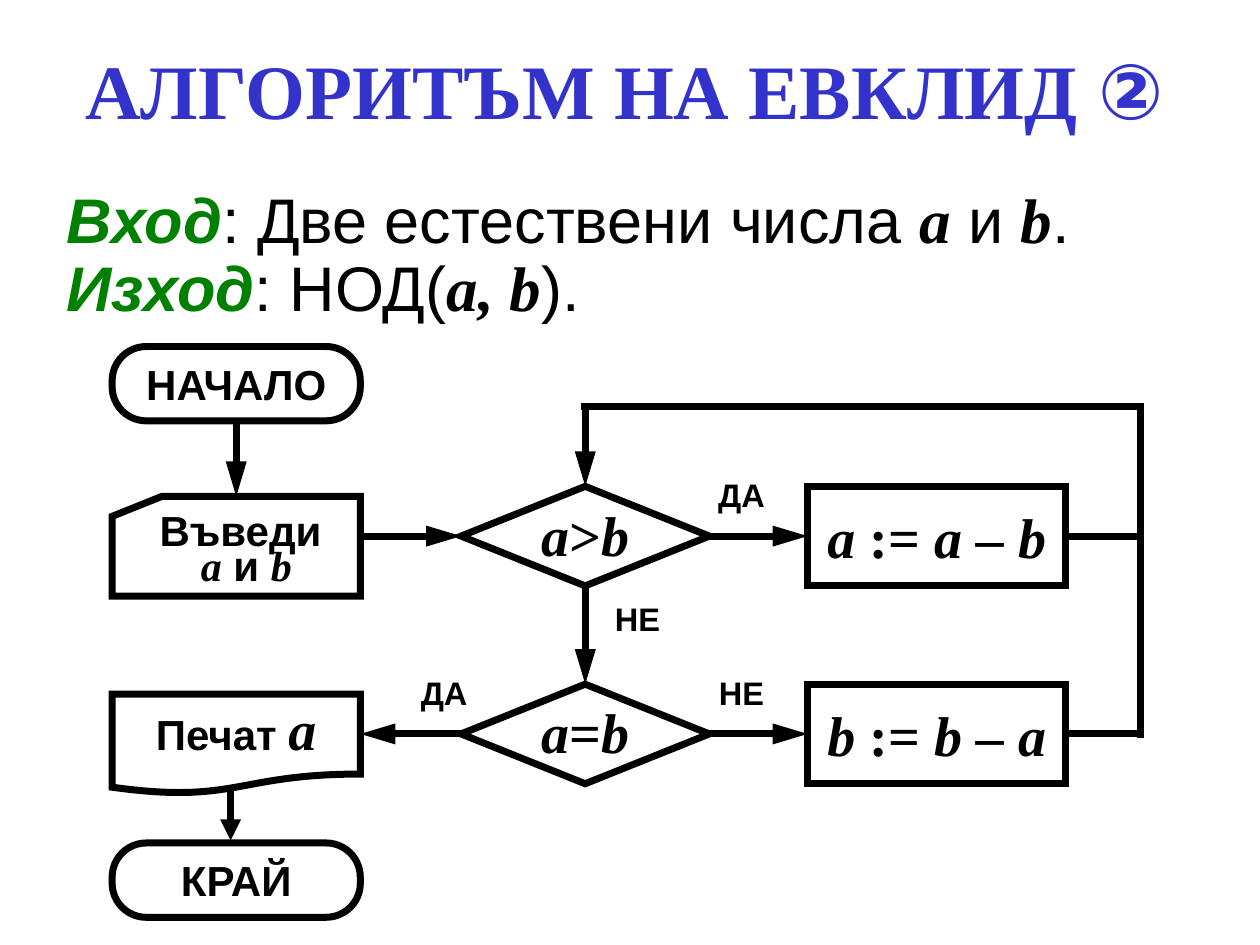
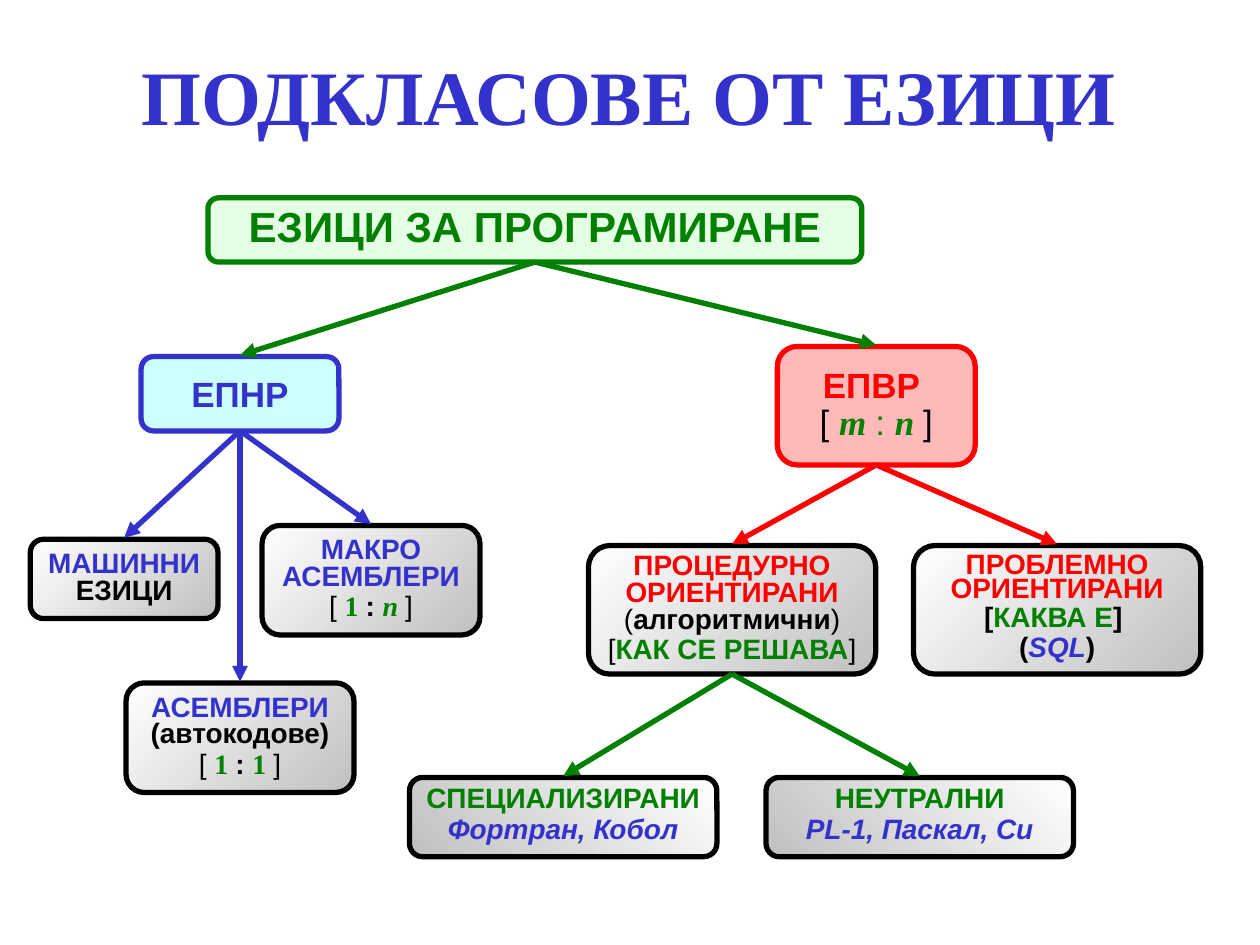
import dataclasses

import pptx
import pptx.dml.color
import pptx.enum.shapes
import pptx.enum.text
import pptx.oxml
import pptx.oxml.ns
import pptx.util

Inches = pptx.util.Inches
Pt = pptx.util.Pt
Shape = pptx.enum.shapes.MSO_SHAPE
Anchor = pptx.enum.text.MSO_ANCHOR
Align = pptx.enum.text.PP_ALIGN

COLOURS = {
    "black": "000000", "white": "FFFFFF", "grey": "C0C0C0",
    "blue": "3333CC", "green": "008000", "red": "FF0000",
    "pale cyan": "CCFFFF", "pale green": "CCFFCC", "pale red": "FFB9B9",
}
# Counter-clockwise gradient angle and the two end colours
GRADIENTS = {
    "falling": (315, "white", "grey"),
    "rising": (45, "grey", "white"),
}


@dataclasses.dataclass
class Span:
    text: str
    size: float
    colour: str
    font: str
    bold: bool
    italic: bool


@dataclasses.dataclass
class Para:
    spans: list
    spacing: float = 1
    before: float = 0


@dataclasses.dataclass
class Node:
    """One box of the tree; its place is relative to the tree."""
    at: tuple
    paras: list
    line: str = "black"
    fill: str = "falling"
    margin: float = 0.1
    wrap: bool = True
    anchor: Anchor = Anchor.MIDDLE


def sans(text, colour="black", size=16, bold=True, italic=False):
    return Span(text, size, colour, "Arial", bold, italic)


def serif(text, colour="black", size=16, italic=True):
    return Span(text, size, colour, "Times New Roman", True, italic)


def rgb(name):
    return pptx.dml.color.RGBColor.from_string(COLOURS[name])


def child(parent, tag, **attributes):
    element = pptx.oxml.parse_xml(f"<a:{tag} {pptx.oxml.ns.nsdecls('a')}/>")
    for name, value in attributes.items():
        element.set(name, value)
    parent.append(element)


def write(box, paras, align=Align.CENTER, anchor=Anchor.MIDDLE, wrap=True,
          margins=(0.1, 0.05, 0.1, 0.05)):
    frame = box.text_frame
    frame.word_wrap = wrap
    frame.vertical_anchor = anchor
    (frame.margin_left, frame.margin_top,
     frame.margin_right, frame.margin_bottom) = map(Inches, margins)
    for index, content in enumerate(paras):
        para = frame.add_paragraph() if index else frame.paragraphs[0]
        para.alignment = align
        para.line_spacing = content.spacing
        para.space_before = Pt(content.before)
        for span in content.spans:
            for number, text in enumerate(span.text.split("\n")):
                if number:
                    para.add_line_break()
                if text:
                    add_run(para, text, span)


def add_run(para, text, span):
    run = para.add_run()
    run.text = text
    run.font.size = Pt(span.size)
    run.font.name = span.font
    run.font.bold = span.bold
    run.font.italic = span.italic
    run.font.color.rgb = rgb(span.colour)


def add_text(page, at, paras, **options):
    box = page.shapes.add_textbox(*map(Inches, at))
    write(box, paras, **options)


def add_outlined(page, kind, at, colour, weight, rounding=None):
    shape = page.shapes.add_shape(kind, *map(Inches, at))
    shape.shadow.inherit = False
    shape.fill.background()
    shape.line.color.rgb = rgb(colour)
    shape.line.width = Pt(weight)
    child(shape.line._get_or_add_ln(), "miter", lim="800000")
    if rounding is not None:
        shape.adjustments[0] = rounding
    return shape


def add_line(page, start, end, colour, weight, head=None):
    """Draw a line; head is the length of its arrowhead, or None."""
    line = page.shapes.add_connector(
        pptx.enum.shapes.MSO_CONNECTOR.STRAIGHT, *map(Inches, start + end))
    line.line.color.rgb = rgb(colour)
    line.line.width = Pt(weight)
    child(line._element.spPr, "effectLst")
    if head:
        child(line.line._get_or_add_ln(), "tailEnd", type="triangle", w="med", len=head)


def add_title(page, at, *spans):
    add_text(page, at, [Para(list(spans))])


def draw_task(page, at):
    """State the input and the output of the algorithm."""
    def term(text):
        return sans(text, "green", 36, italic=True)

    def plain(text):
        return sans(text, size=36, bold=False)

    def variable(text):
        return serif(text, size=36)

    add_text(page, at, [
        Para([term("Вход"), plain(": Две естествени числа "), variable("a"),
              plain(" и "), variable("b"), plain(".")], 0.9),
        Para([term("Изход"), plain(": НОД("), variable("a, b"), plain(").")], 0.9),
    ], align=Align.LEFT, anchor=Anchor.TOP, margins=(0.1, 0.16, 0.1, 0.05))


def draw_flowchart(page, left, top):
    weight = 4
    width, height, cap_height = 1.97, 0.79, 0.59
    assign_width = 2.05
    test_left, assign_left, loop_x = left + 2.77, left + 5.52, left + 8.16
    test_right, assign_right = test_left + width, assign_left + assign_width
    row_tops = [top + 1.11, top + 2.68]
    row_middles = [row_top + height / 2 for row_top in row_tops]
    input_top, print_top, end_top = top + 1.19, top + 2.76, top + 3.94
    loop_y = top + 0.48
    centre, test_centre = left + width / 2, test_left + width / 2

    def step(kind, at, spans, spacing=1, rounding=None, **options):
        shape = add_outlined(page, kind, at, "black", weight, rounding)
        write(shape, [Para(spans, spacing)], **options)

    def line(start, end, head=None):
        add_line(page, start, end, "black", weight, head)

    def arrow(start, end):
        line(start, end, "lg")

    def answer(text, x, y):
        add_text(page, (x, y, 0.83, 0.43), [Para([sans(text, size=18.6)], 0.8)])

    for text, cap_top in (("НАЧАЛО", top), ("КРАЙ", end_top)):
        step(Shape.ROUNDED_RECTANGLE, (left, cap_top, width, cap_height),
             [sans(text, size=24)], rounding=0.459, wrap=False)
    step(Shape.FLOWCHART_CARD, (left, input_top, width, height),
         [sans("Въведи \n", size=24), serif("a", size=24), sans(" и ", size=24),
          serif("b", size=24)], 0.7, wrap=False, margins=(0.26, 0, 0.1, 0.05))
    step(Shape.FLOWCHART_DOCUMENT, (left, print_top, width, height),
         [sans("Печат ", size=24), serif("a", size=32)], 0.7,
         margins=(0.1, 0.09, 0.1, 0.05))

    rows = zip(row_tops, row_middles, ">=", "ab", "ba", ("ДА", "НЕ"))
    for row_top, middle, sign, target, other, reply in rows:
        step(Shape.FLOWCHART_DECISION, (test_left, row_top, width, height),
             [serif("a", size=32), serif(sign, size=32, italic=False),
              serif("b", size=32)], wrap=False, margins=(0.1, 0.01, 0.1, 0.05))
        step(Shape.FLOWCHART_PROCESS, (assign_left, row_top, assign_width, height),
             [serif(f"{target} ", size=32), serif(":= ", size=32, italic=False),
              serif(f"{target} – {other}", size=32)], wrap=False,
             margins=(0.06, 0.05, 0.06, 0.05))
        arrow((test_right, middle), (assign_left, middle))
        line((assign_right, middle), (loop_x, middle))
        answer(reply, test_left + 1.81, row_top - 0.12)

    first, second = row_middles
    arrow((centre, top + cap_height), (centre, input_top))
    arrow((left + width, first), (test_left, first))
    arrow((test_centre, row_tops[0] + height), (test_centre, row_tops[1]))
    answer("НЕ", test_centre, row_tops[0] + 0.86)
    arrow((test_left, second), (left + width, second))
    answer("ДА", test_left - 0.55, row_tops[1] - 0.12)
    line((left + 0.94, print_top + 0.74), (left + 0.94, end_top - 0.02), "med")

    overlap = 0.03
    line((loop_x, second + overlap), (loop_x, loop_y - overlap))
    line((loop_x + overlap, loop_y), (test_centre - overlap, loop_y))
    arrow((test_centre, loop_y), (test_centre, row_tops[0]))


def ratio(first, second, second_italic=False):
    """Spans for a bracketed ratio of machine to language commands."""
    return [sans("[ ", bold=False), serif(f"{first} ", "green", italic=False),
            sans(": "), serif(f"{second} ", "green", italic=second_italic),
            sans("]", bold=False)]


def leaf(left, name, examples):
    return Node((left, 4.6, 2.44, 0.63), [
        Para([sans(name, "green")], 0.8),
        Para([sans(examples, "blue", italic=True)], 0.8, 2),
    ], fill="rising", wrap=False, anchor=Anchor.TOP)


def language_nodes():
    return {
        "languages": Node((1.41, 0, 5.19, 0.51), [
            Para([sans("ЕЗИЦИ ЗА ПРОГРАМИРАНЕ", "green", 24)], 0.85),
        ], "green", "pale green", wrap=False),
        "low level": Node((0.88, 1.26, 1.57, 0.59), [
            Para([sans("ЕПНР", "blue", 20)]),
        ], "blue", "pale cyan", wrap=False),
        "high level": Node((5.93, 1.18, 1.57, 0.94), [
            Para([sans("ЕПВР \n", "red", 20), sans("[ ", size=20, bold=False),
                  serif("m ", "green", 20), sans(": ", "green", 20, bold=False),
                  serif("n ", "green", 20), sans("]", size=20, bold=False)], 0.9),
        ], "red", "pale red"),
        "machine": Node((0, 2.71, 1.49, 0.63), [
            Para([sans("МАШИННИ", "blue"), sans(" ЕЗИЦИ")], 0.8),
        ], margin=0.08),
        "assembler": Node((0.76, 3.85, 1.81, 0.87), [
            Para([sans("АСЕМБЛЕРИ", "blue"), sans(" (автокодове)")], 0.8),
            Para(ratio("1", "1"), 0.8, 2),
        ]),
        "macro": Node((1.84, 2.6, 1.73, 0.87), [
            Para([sans("МАКРО АСЕМБЛЕРИ", "blue")], 0.8),
            Para(ratio("1", "n", True), 0.8, 2),
        ], margin=0.08),
        "procedural": Node((4.43, 2.76, 2.28, 1.02), [
            Para([sans("ПРОЦЕДУРНО ОРИЕНТИРАНИ ", "red"), sans("(", bold=False),
                  sans("алгоритмични"), sans(")", bold=False)], 0.8),
            Para([sans("[", bold=False), sans("КАК СЕ РЕШАВА", "green"),
                  sans("]", bold=False)], 0.8, 2),
        ], margin=0.08),
        "problem": Node((7.01, 2.76, 2.28, 1.02), [
            Para([sans("ПРОБЛЕМНО ОРИЕНТИРАНИ", "red")], 0.7),
            Para([sans("["), sans("КАКВА Е", "green"), sans("] \n("),
                  sans("SQL", "blue", italic=True), sans(")")], 0.9),
        ]),
        "special": leaf(3.01, "СПЕЦИАЛИЗИРАНИ", "Фортран, Кобол"),
        "neutral": leaf(5.84, "НЕУТРАЛНИ", "PL-1, Паскал, Си"),
    }


BRANCHES = {
    "languages": ("green", ["low level", "high level"]),
    "low level": ("blue", ["machine", "assembler", "macro"]),
    "high level": ("red", ["procedural", "problem"]),
    "procedural": ("green", ["special", "neutral"]),
}


def fill_node(shape, fill):
    if fill in GRADIENTS:
        angle, *ends = GRADIENTS[fill]
        shape.fill.gradient()
        shape.fill.gradient_angle = angle
        for stop, name, position in zip(shape.fill.gradient_stops, ends, (0, 1)):
            stop.color.rgb = rgb(name)
            stop.position = position
        return
    shape.fill.solid()
    shape.fill.fore_color.rgb = rgb(fill)
    if fill == "pale green":
        colour = shape._element.spPr.find(pptx.oxml.ns.qn("a:solidFill"))[0]
        child(colour, "alpha", val="50000")


def draw_tree(page, left, top):
    nodes = language_nodes()
    for node in nodes.values():
        x, y, width, height = node.at
        shape = add_outlined(page, Shape.ROUNDED_RECTANGLE,
                             (left + x, top + y, width, height), node.line, 3, 0.167)
        fill_node(shape, node.fill)
        write(shape, node.paras, anchor=node.anchor, wrap=node.wrap,
              margins=(node.margin, 0.05, node.margin, 0.05))

    for parent, (colour, children) in BRANCHES.items():
        x, y, width, height = nodes[parent].at
        start = (left + x + width / 2, top + y + height)
        for name in children:
            x, y, width, height = nodes[name].at
            end = (left + x + width / 2, top + y - 0.01)
            add_line(page, start, end, colour, 3, "med")


def main():
    deck = pptx.Presentation()
    deck.slide_width, deck.slide_height = Inches(10), Inches(7.5)
    blank = deck.slide_layouts[6]

    page = deck.slides.add_slide(blank)
    add_title(page, (0.49, 0.33, 8.93, 0.75),
              serif("АЛГОРИТЪМ НА ЕВКЛИД ", "blue", 44, italic=False),
              sans("②", "blue", 44))
    draw_task(page, (0.43, 1.34, 9.09, 1.33))
    draw_flowchart(page, 0.89, 2.75)

    page = deck.slides.add_slide(blank)
    add_title(page, (0.43, 0.33, 9.13, 0.84),
              serif("ПОДКЛАСОВЕ ОТ ЕЗИЦИ", "blue", 44, italic=False))
    draw_tree(page, 0.24, 1.57)

    deck.save("out.pptx")


if __name__ == "__main__":
    main()
